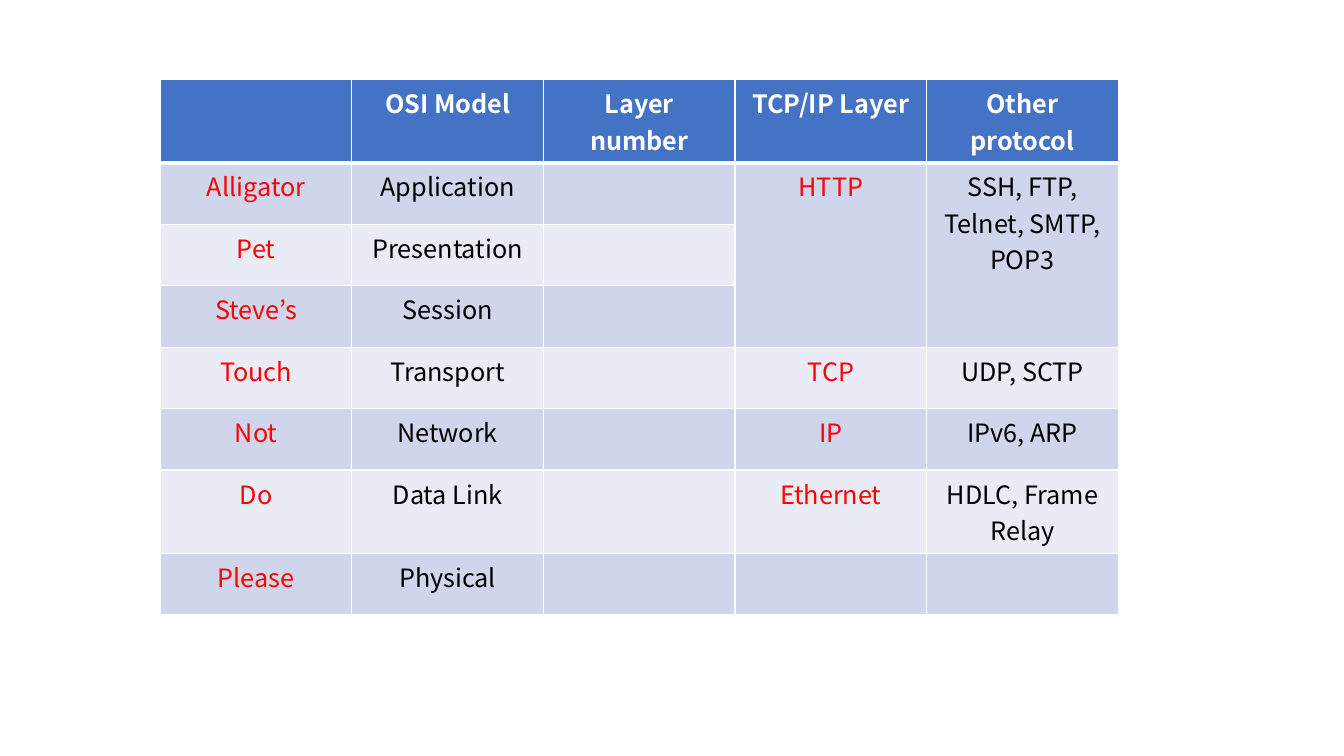
from lxml.etree import SubElement
from pptx import Presentation
from pptx.dml.color import RGBColor
from pptx.enum.text import PP_ALIGN
from pptx.oxml.ns import qn
from pptx.util import Inches, Pt

COLORS = {
    "header": "4472C4",
    "odd": "CFD5EA",
    "even": "E9EBF5",
    "white": "FFFFFF",
    "red": "FF0000",
    "black": "000000",
}
FONT = "Noto Sans CJK KR"
COLUMN_WIDTH = Inches(1.9)
ROW_HEIGHT = Inches(0.61)
TABLE_LEFT, TABLE_TOP = Inches(1.59), Inches(0.79)
RED_COLUMNS = (0, 3)
MERGED_COLUMNS = (3, 4)
LAYERS = [
    ("", "OSI Model", "Layer number", "TCP/IP Layer", "Other protocol"),
    ("Alligator", "Application", "", "HTTP", "SSH, FTP, Telnet, SMTP, POP3"),
    ("Pet", "Presentation", "", "", ""),
    ("Steve’s", "Session", "", "", ""),
    ("Touch", "Transport", "", "TCP", "UDP, SCTP"),
    ("Not", "Network", "", "IP", "IPv6, ARP"),
    ("Do", "Data Link", "", "Ethernet", "HDLC, Frame Relay"),
    ("Please", "Physical", "", "", ""),
]


def color(name):
    return RGBColor.from_string(COLORS[name])


def set_borders(cell, top, bottom):
    properties = cell._tc.get_or_add_tcPr()
    for side, points in {"L": 1, "R": 1, "T": top, "B": bottom}.items():
        line = SubElement(properties, qn(f"a:ln{side}"), w=str(Pt(points)))
        fill = SubElement(line, qn("a:solidFill"))
        SubElement(fill, qn("a:srgbClr"), val=COLORS["white"])


def set_text(cell, text, text_color, bold):
    para = cell.text_frame.paragraphs[0]
    para.alignment = PP_ALIGN.CENTER
    if text:
        span = para.add_run()
        span.text = text
        for name, value in {"name": FONT, "size": Pt(18), "bold": bold}.items():
            setattr(span.font, name, value)
        span.font.color.rgb = color(text_color)


def format_cell(cell, row, column, text):
    is_header = row == 0
    set_borders(cell, 3 if row == 1 else 1, 3 if is_header else 1)
    cell.fill.solid()
    band = "odd" if row % 2 else "even"
    cell.fill.fore_color.rgb = color("header" if is_header else band)
    body_color = "red" if column in RED_COLUMNS else "black"
    set_text(cell, text, "white" if is_header else body_color, is_header)


def add_layer_table(page):
    rows, columns = len(LAYERS), len(LAYERS[0])
    table = page.shapes.add_table(
        rows, columns, TABLE_LEFT, TABLE_TOP,
        COLUMN_WIDTH * columns, ROW_HEIGHT * rows,
    ).table
    for table_column in table.columns:
        table_column.width = COLUMN_WIDTH
    for table_row in table.rows:
        table_row.height = ROW_HEIGHT
    for row, texts in enumerate(LAYERS):
        for column, text in enumerate(texts):
            format_cell(table.cell(row, column), row, column, text)
    for column in MERGED_COLUMNS:
        table.cell(1, column).merge(table.cell(3, column))


def main():
    deck = Presentation()
    deck.slide_width, deck.slide_height = Inches(13.33), Inches(7.5)
    page = deck.slides.add_slide(deck.slide_layouts[6])
    add_layer_table(page)
    deck.save("out.pptx")


if __name__ == "__main__":
    main()
